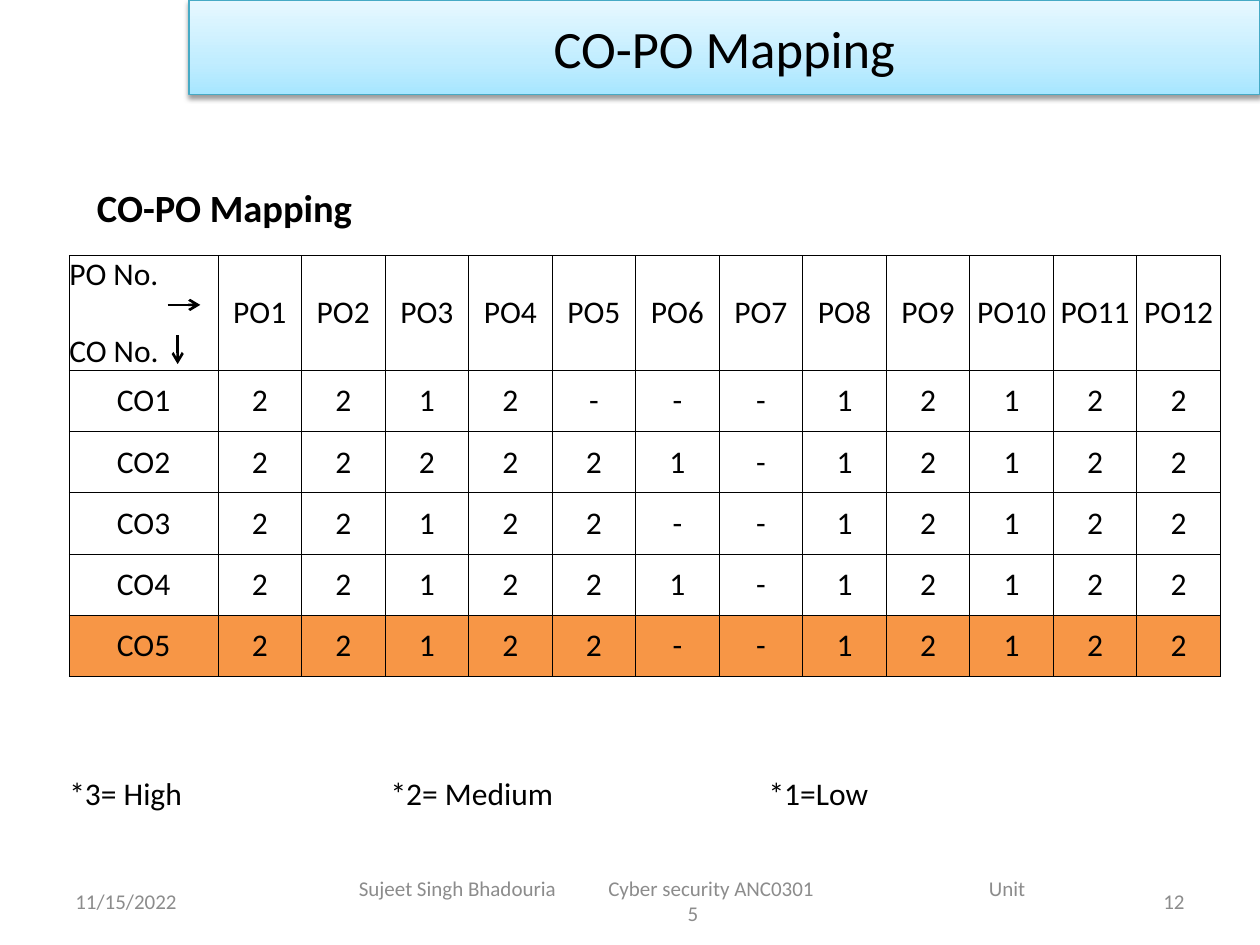
import pptx
import pptx.dml.color
import pptx.enum.shapes
import pptx.enum.text
import pptx.oxml
import pptx.oxml.ns
import pptx.util

Inches, Pt = pptx.util.Inches, pptx.util.Pt
ALIGN = pptx.enum.text.PP_ALIGN
ANCHOR = pptx.enum.text.MSO_ANCHOR

# Content
TITLE = "CO-PO Mapping"
HEADING = "CO-PO Mapping"
CORNER = ["PO No.", "CO No."]
OUTCOMES = [f"PO{number}" for number in range(1, 13)]
RATINGS = {
    "CO1": "2 2 1 2 - - - 1 2 1 2 2",
    "CO2": "2 2 2 2 2 1 - 1 2 1 2 2",
    "CO3": "2 2 1 2 2 - - 1 2 1 2 2",
    "CO4": "2 2 1 2 2 1 - 1 2 1 2 2",
    "CO5": "2 2 1 2 2 - - 1 2 1 2 2",
}
HIGHLIGHTED = "CO5"
LEGEND = ["*3= High", "*2= Medium", "*1=Low"]
DATE, PAGE = "11/15/2022", "12"
FOOTER = ["Sujeet Singh Bhadouria", "Cyber security ANC0301", "Unit"]
FOOTER_END = "5"

COLORS = {"text": "000000", "muted": "8C8C8C", "plain": "FFFFFF",
          "highlight": "F79646", "title line": "46AAC5"}
TITLE_GRADIENT = [(0, "A7E6FF"), (35, "C1EDFF"), (100, "E7F8FF")]

# Layout, in inches
SLIDE_WIDTH, SLIDE_HEIGHT = 10, 7.5
TABLE_LEFT, TABLE_TOP, TABLE_WIDTH, TABLE_HEIGHT = 0.55, 2.03, 9.14, 3.34
CORNER_WIDTH, CORNER_HEIGHT = 1.18, 0.91
FOOTER_TOP, FOOTER_HEIGHT = 6.95, 0.4
ARROWS = [(1.33, 2.42, 1.59, 2.42), (1.41, 2.66, 1.41, 2.89)]
NAMESPACE = pptx.oxml.ns.nsdecls("a")


def rgb(name):
    return pptx.dml.color.RGBColor.from_string(COLORS[name])


def add_xml(parent, xml):
    tag, rest = xml[1:].split(" ", 1)
    parent.append(pptx.oxml.parse_xml(f"<{tag} {NAMESPACE} {rest}"))


def style(paragraph, size, color="text", align=ALIGN.LEFT, bold=False):
    paragraph.alignment = align
    font = paragraph.font
    font.name, font.size, font.bold = "Calibri", Pt(size), bold
    font.color.rgb = rgb(color)


def set_tabs(paragraph, stops):
    tabs = "".join(f'<a:tab pos="{Inches(stop)}" algn="l"/>' for stop in stops)
    add_xml(paragraph._p.get_or_add_pPr(), f"<a:tabLst >{tabs}</a:tabLst>")


def add_text(slide, box, text, size, color="text", align=ALIGN.LEFT,
             bold=False, anchor=ANCHOR.MIDDLE, margin=0.1, tabs=()):
    frame = slide.shapes.add_textbox(*map(Inches, box)).text_frame
    frame.word_wrap = True
    frame.vertical_anchor = anchor
    frame.margin_left = Inches(margin)
    paragraph = frame.paragraphs[0]
    paragraph.text = text
    if tabs:
        set_tabs(paragraph, tabs)
    style(paragraph, size, color, align, bold)
    return frame


def add_title(slide):
    title = slide.shapes.title
    title.left, title.top = Inches(1.5), 0
    title.width, title.height = Inches(8.5), Inches(0.75)
    properties = title._element.spPr
    stops = "".join(f'<a:gs pos="{share * 1000}"><a:srgbClr val="{color}"/></a:gs>'
                    for share, color in TITLE_GRADIENT)
    add_xml(properties, '<a:prstGeom prst="rect"><a:avLst/></a:prstGeom>')
    add_xml(properties, f'<a:gradFill rotWithShape="1"><a:gsLst>{stops}</a:gsLst>'
                        '<a:lin ang="16200000" scaled="0"/></a:gradFill>')
    title.line.color.rgb = rgb("title line")
    title.line.width = Pt(0.75)
    add_xml(properties, f'<a:effectLst ><a:outerShdw blurRad="{Pt(3.1)}" '
                        f'dist="{Pt(1.6)}" dir="5400000" rotWithShape="0">'
                        '<a:srgbClr val="000000"><a:alpha val="38000"/></a:srgbClr>'
                        '</a:outerShdw></a:effectLst>')
    title.text_frame.text = TITLE
    title.text_frame.vertical_anchor = ANCHOR.MIDDLE
    style(title.text_frame.paragraphs[0], 30, align=ALIGN.CENTER)


def fill_cell(cell, lines, fill, align):
    cell.margin_left = cell.margin_right = cell.margin_top = cell.margin_bottom = 0
    cell.vertical_anchor = ANCHOR.MIDDLE
    for side in "LRTB":
        add_xml(cell._tc.get_or_add_tcPr(),
                f'<a:ln{side} w="{Pt(0.5)}"><a:solidFill>'
                f'<a:srgbClr val="{COLORS["text"]}"/></a:solidFill></a:ln{side}>')
    cell.fill.solid()
    cell.fill.fore_color.rgb = rgb(fill)
    cell.text = "\n".join(lines)
    for index, paragraph in enumerate(cell.text_frame.paragraphs):
        if index:
            paragraph.space_before = Pt(22)
        style(paragraph, 18, align=align)


def add_mapping_table(slide):
    rows = [[CORNER] + [[name] for name in OUTCOMES]]
    rows += [[[name]] + [[rating] for rating in ratings.split()]
             for name, ratings in RATINGS.items()]
    box = map(Inches, (TABLE_LEFT, TABLE_TOP, TABLE_WIDTH, TABLE_HEIGHT))
    table = slide.shapes.add_table(len(rows), len(rows[0]), *box).table
    table.first_row = table.horz_banding = False
    for index, column in enumerate(table.columns):
        shared = (TABLE_WIDTH - CORNER_WIDTH) / len(OUTCOMES)
        column.width = Inches(shared if index else CORNER_WIDTH)
    for index, row in enumerate(table.rows):
        shared = (TABLE_HEIGHT - CORNER_HEIGHT) / len(RATINGS)
        row.height = Inches(shared if index else CORNER_HEIGHT)
        fill = "highlight" if rows[index][0] == [HIGHLIGHTED] else "plain"
        for cell, lines in zip(row.cells, rows[index]):
            align = ALIGN.LEFT if lines is CORNER else ALIGN.CENTER
            fill_cell(cell, lines, fill, align)


def add_arrow(slide, ends):
    arrow = slide.shapes.add_connector(
        pptx.enum.shapes.MSO_CONNECTOR.STRAIGHT, *map(Inches, ends))
    arrow.line.color.rgb = rgb("text")
    arrow.line.width = Pt(1.5)
    add_xml(arrow.line._get_or_add_ln(), '<a:tailEnd type="arrow"/>')
    add_xml(arrow._element.spPr, "<a:effectLst />")


def main():
    presentation = pptx.Presentation()
    presentation.slide_width = Inches(SLIDE_WIDTH)
    presentation.slide_height = Inches(SLIDE_HEIGHT)
    slide = presentation.slides.add_slide(presentation.slide_layouts[5])

    add_title(slide)

    # Heading, table and the arrows in its corner cell
    add_text(slide, (0.47, 1.41, 4.14, 0.72), HEADING, 22, bold=True,
             anchor=ANCHOR.TOP, margin=0.3)
    add_mapping_table(slide)
    for ends in ARROWS:
        add_arrow(slide, ends)

    # Legend
    add_text(slide, (0, 6.09, 9.77, 0.4), "\t".join(LEGEND), 18,
             margin=TABLE_LEFT, tabs=(2.55, 5.55))

    # Date, footer and page number
    add_text(slide, (0.5, FOOTER_TOP, 2.33, FOOTER_HEIGHT), DATE, 12, "muted")
    footer = add_text(slide, (2.75, FOOTER_TOP, 5.5, FOOTER_HEIGHT),
                      "\t".join(FOOTER), 12, "muted", tabs=(1.98, 5))
    last_line = footer.add_paragraph()
    last_line.text = FOOTER_END
    style(last_line, 12, "muted", ALIGN.CENTER)
    add_text(slide, (7.17, FOOTER_TOP, 2.33, FOOTER_HEIGHT), PAGE, 12, "muted",
             ALIGN.RIGHT)

    presentation.save("out.pptx")


if __name__ == "__main__":
    main()
